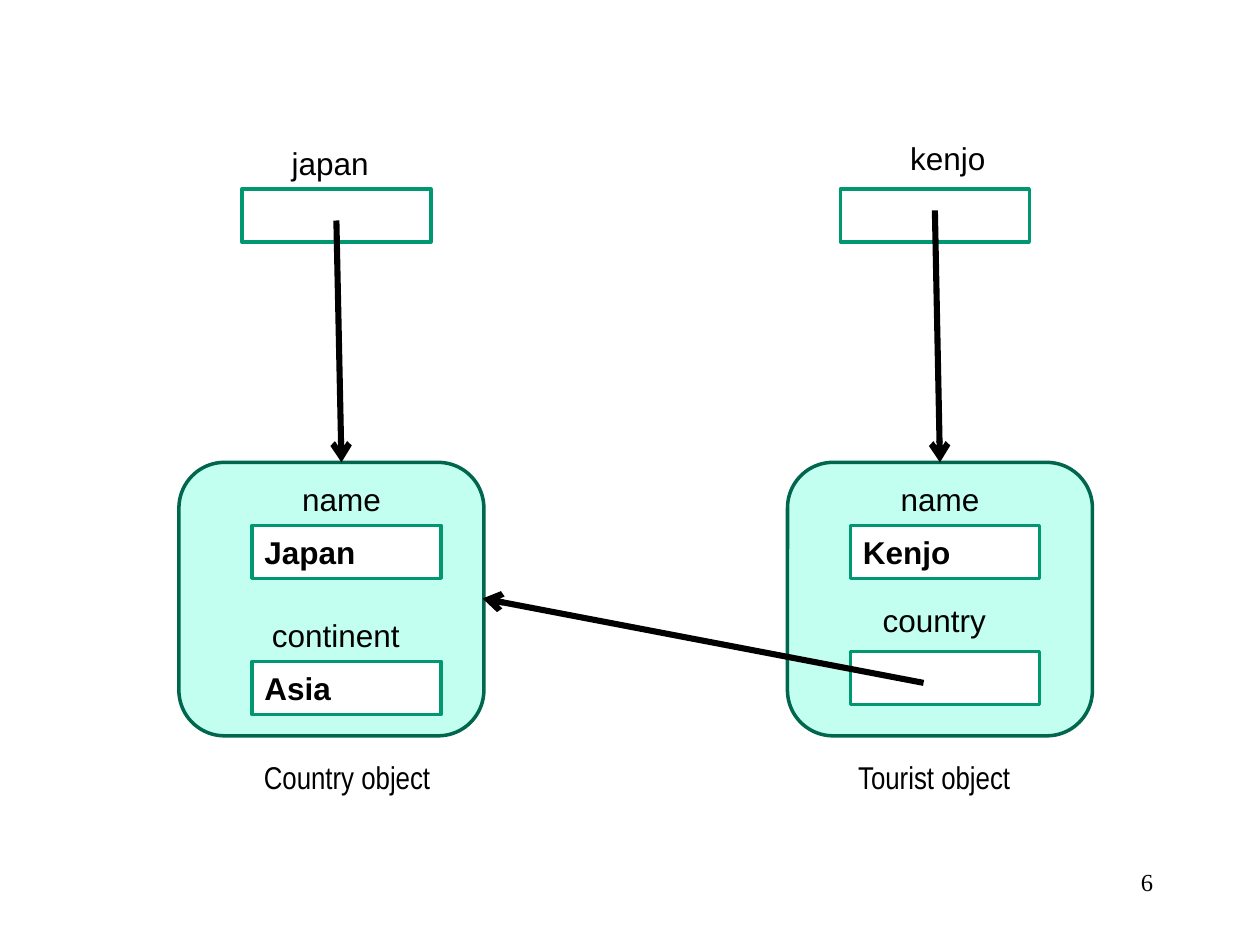
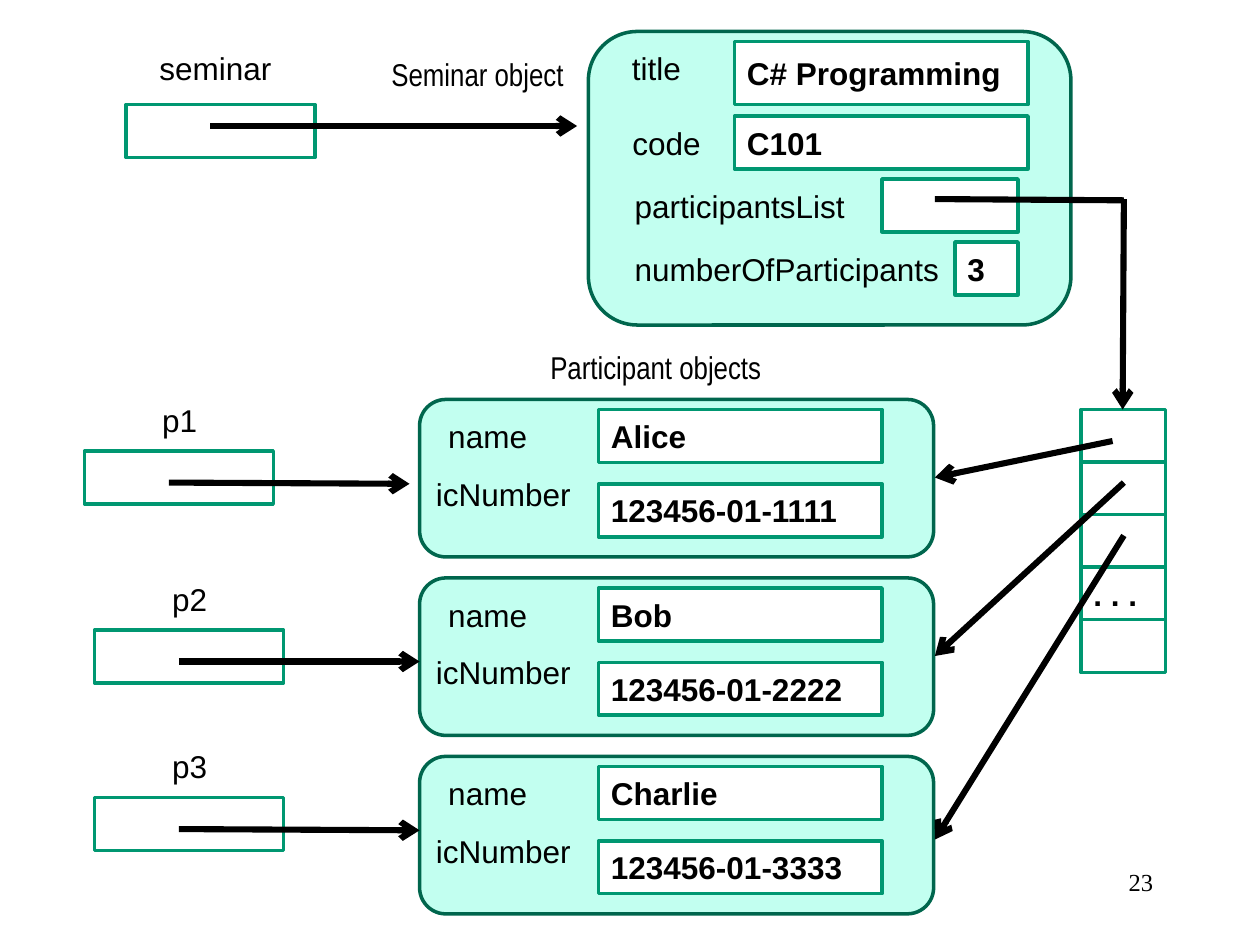
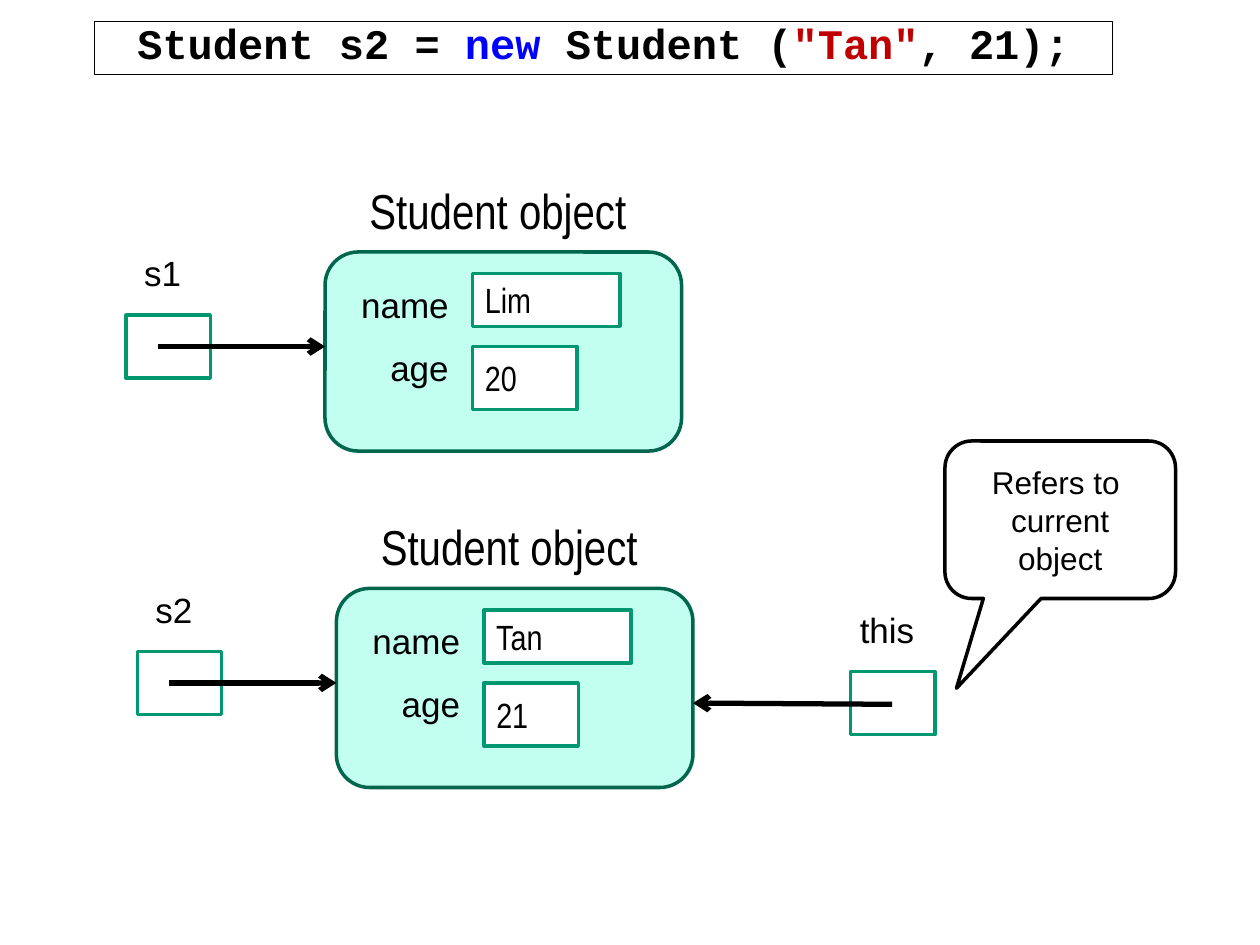
import pptx
import pptx.util
import pptx.dml.color
import pptx.enum.shapes
import pptx.enum.text
import pptx.oxml
import pptx.oxml.ns
from dataclasses import dataclass

Inches = pptx.util.Inches
Pt = pptx.util.Pt
SHAPE = pptx.enum.shapes.MSO_SHAPE
ALIGN = pptx.enum.text.PP_ALIGN
ANCHOR = pptx.enum.text.MSO_ANCHOR


@dataclass(frozen=True)
class Theme:
    ink: str = "000000"
    paper: str = "FFFFFF"
    card: str = "C2FFF0"
    card_edge: str = "00664D"
    slot_edge: str = "009771"
    keyword: str = "0000FF"
    literal: str = "C00000"
    sans: str = "Arial"
    narrow: str = "Arial Narrow"
    code: str = "Courier New"
    serif: str = "Times New Roman"
    number_size: int = 14
    body_size: int = 18
    student_size: int = 20
    code_size: int = 24
    heading_size: int = 28
    edge: float = 2
    arrow: float = 3.5
    student_arrow: float = 3


THEME = Theme()
LABEL = {"name": THEME.sans, "size": Pt(THEME.body_size)}
VALUE = {**LABEL, "bold": True}
CAPTION = {**LABEL, "name": THEME.narrow}
STUDENT_LABEL = {**LABEL, "size": Pt(THEME.student_size)}
STUDENT_VALUE = {**STUDENT_LABEL, "name": THEME.narrow}
STUDENT_CAPTION = {**CAPTION, "size": Pt(THEME.heading_size)}
CODE = {"name": THEME.code, "size": Pt(THEME.code_size), "bold": True}
NUMBER = {"name": THEME.serif, "size": Pt(THEME.number_size)}


def set_all(target, values):
    for key, value in values.items():
        setattr(target, key, value)


def rgb(colour):
    return pptx.dml.color.RGBColor.from_string(colour)


def inside(origin, box):
    """Shift a box or point given relative to the top left of origin."""
    return (origin[0] + box[0], origin[1] + box[1], *box[2:])


def write(shape, spans, font, align=ALIGN.LEFT, anchor=ANCHOR.MIDDLE):
    """Write (text, colour) spans as one paragraph."""
    set_all(shape.text_frame, {"word_wrap": True, "vertical_anchor": anchor})
    para = shape.text_frame.paragraphs[0]
    para.alignment = align
    for text, colour in spans:
        span = para.add_run()
        span.text = text
        set_all(span.font, font)
        span.font.color.rgb = rgb(colour)
    return para


def add_text(page, box, text, font, align=ALIGN.CENTER, anchor=ANCHOR.MIDDLE):
    shape = page.shapes.add_textbox(*map(Inches, box))
    write(shape, [(text, THEME.ink)], font, align, anchor)


def add_box(page, kind, box, fill, edge, weight=THEME.edge):
    shape = page.shapes.add_shape(kind, *map(Inches, box))
    shape.shadow.inherit = False
    shape.fill.solid()
    shape.fill.fore_color.rgb = rgb(fill)
    shape.line.color.rgb = rgb(edge)
    shape.line.width = Pt(weight)
    return shape


def add_slot(page, box, value="", font=VALUE):
    shape = add_box(page, SHAPE.RECTANGLE, box, THEME.paper, THEME.slot_edge)
    if value:
        write(shape, [(value, THEME.ink)], font)


def add_arrow(page, start, end, weight=THEME.arrow, head=True):
    line = page.shapes.add_connector(
        pptx.enum.shapes.MSO_CONNECTOR.STRAIGHT, *map(Inches, (*start, *end)))
    line.line.color.rgb = rgb(THEME.ink)
    line.line.width = Pt(weight)
    if head:
        tail = pptx.oxml.parse_xml(
            f'<a:tailEnd {pptx.oxml.ns.nsdecls("a")} type="arrow"/>')
        line.line._get_or_add_ln().append(tail)
    effects = pptx.oxml.parse_xml(f'<a:effectLst {pptx.oxml.ns.nsdecls("a")}/>')
    line._element.spPr.append(effects)


def add_variable(page, slot, name, label, start, end, font=LABEL,
                 weight=THEME.arrow, align=ALIGN.CENTER):
    """A named slot with an arrow; label and start are relative to the slot."""
    add_text(page, inside(slot, label), name, font, align)
    add_slot(page, slot)
    add_arrow(page, inside(slot, start), end, weight)


def add_object(page, box, fields, label_font=LABEL, value_font=VALUE,
               align=ALIGN.CENTER):
    """A card whose fields (label, its box, value, its box) are relative to it."""
    add_box(page, SHAPE.ROUNDED_RECTANGLE, box, THEME.card, THEME.card_edge)
    for label, label_box, value, value_box in fields:
        add_slot(page, inside(box, value_box), value, value_font)
        add_text(page, inside(box, label_box), label, label_font, align)


def add_page_number(page, number):
    add_text(page, (7.17, 6.83, 2.08, 0.5), number, NUMBER, ALIGN.RIGHT, ANCHOR.TOP)


def build_tourist_page(page):
    name_label, name_slot = (0.71, 0, 1.08, 0.58), (0.54, 0.5, 1.5, 0.42)
    cards = [
        (1.42, "Country object", 0.67,
         [("name", name_label, "Japan", name_slot),
          ("continent", (0.41, 1.16, 1.67, 0.42), "Asia", (0.58, 1.58, 1.5, 0.42))]),
        (6.25, "Tourist object", 5.33,
         [("name", name_label, "Kenjo", name_slot),
          ("country", (0.5, 1, 1.33, 0.5), "", (0.5, 1.5, 1.5, 0.42))]),
    ]
    # The two cards share one design, with the first slot set slightly apart.
    cards[0][3][0] = ("name", (0.75, 0, 1.08, 0.58), "Japan", (0.58, 0.5, 1.5, 0.42))
    cards[1][3][0] = ("name", (0.67, 0, 1.08, 0.58), "Kenjo", (0.5, 0.5, 1.5, 0.42))
    for left, caption, caption_left, fields in cards:
        add_object(page, (left, 3.67, 2.42, 2.17), fields)
        add_text(page, (caption_left, 5.83, 4.17, 0.67), caption, CAPTION)
    add_variable(page, (1.92, 1.5, 1.5, 0.42), "japan", (-0.34, -0.5, 2.08, 0.58),
                 (0.75, 0.25), (2.71, 3.67))
    add_variable(page, (6.67, 1.5, 1.5, 0.42), "kenjo", (0.08, -0.5, 1.17, 0.5),
                 (0.75, 0.17), (7.46, 3.67), align=ALIGN.RIGHT)
    add_arrow(page, (7.33, 5.42), (3.83, 4.75))
    add_page_number(page, "6")


def add_participant(page, top, name, number):
    add_object(page, (3.33, top, 4.08, 1.25), [
        ("name", (0, 0, 1.08, 0.58), name, (1.42, 0.08, 2.25, 0.42)),
        ("icNumber", (0, 0.5, 1.33, 0.5), number, (1.42, 0.67, 2.25, 0.42)),
    ])


def add_participants_list(page, left, top):
    for row, value in enumerate(["", "", "", ". . .", ""]):
        add_slot(page, (left, top + row * 5 / 12, 0.67, 0.42), value)


def build_seminar_page(page):
    add_object(page, (4.67, 0.25, 3.83, 2.33), [
        ("title", (0, 0, 1.08, 0.58), "C# Programming", (1.16, 0.08, 2.33, 0.5)),
        ("code", (0.08, 0.67, 1.08, 0.42), "C101", (1.16, 0.67, 2.33, 0.42)),
        ("participantsList", (0.16, 1.17, 2.08, 0.42), "", (2.33, 1.17, 1.08, 0.42)),
        ("numberOfParticipants", (0.16, 1.67, 2.83, 0.42), "3",
         (2.91, 1.67, 0.5, 0.42)),
    ])
    add_text(page, (2.75, 0.25, 2.08, 0.67), "Seminar object", CAPTION)
    add_text(page, (3.83, 2.58, 2.75, 0.67), "Participant objects", CAPTION)
    add_variable(page, (1, 0.83, 1.5, 0.42), "seminar", (-0.33, -0.58, 2.08, 0.58),
                 (0.67, 0.17), (4.58, 1))
    add_participants_list(page, 8.58, 3.25)
    add_arrow(page, (8.92, 1.58), (8.91, 3.25))
    add_arrow(page, (7.42, 1.58), (8.92, 1.59), head=False)

    participants = [
        ("p1", "Alice", "123456-01-1111", (0.67, 3.58), (3.25, 3.84), (8.83, 3.5)),
        ("p2", "Bob", "123456-01-2222", (0.75, 5), (3.33, 5.25), (8.92, 3.83)),
        ("p3", "Charlie", "123456-01-3333", (0.75, 6.33), (3.33, 6.59), (8.92, 4.25)),
    ]
    for row, (variable, name, number, slot, end, link) in enumerate(participants):
        top = 3.17 + row * 17 / 12
        add_participant(page, top, name, number)
        add_variable(page, (*slot, 1.5, 0.42), variable, (0.17, -0.5, 1.17, 0.5),
                     (0.67, 0.25), end)
        add_arrow(page, link, (7.42, top + 0.62 + 0.04 * (row == 2)))
    add_page_number(page, "23")


def add_student_variable(page, left, top, name, start, end):
    add_variable(page, (left, top, 0.67, 0.5), name, (-0.25, -0.67, 1.08, 0.67),
                 start, end, STUDENT_LABEL, THEME.student_arrow)


def add_student(page, left, top, variable, name, age, age_width):
    """A student card with its caption and the variable that refers to it."""
    box = (left, top, 2.83, 1.58)
    add_text(page, inside(box, (-0.17, -0.67, 3.08, 0.67)), "Student object",
             STUDENT_CAPTION)
    add_object(page, box, [
        ("name", (0, 0.08, 1.08, 0.67), name, (1.17, 0.17, 1.17, 0.42)),
        ("age", (0, 0.58, 1.08, 0.67), age, (1.17, 0.75, age_width, 0.5)),
    ], STUDENT_LABEL, STUDENT_VALUE, ALIGN.RIGHT)
    add_student_variable(page, left - 1.58, top + 0.5, variable, (0.25, 0.25),
                         (left, top + 0.75))


def add_code_line(page, box, spans):
    shape = add_box(page, SHAPE.RECTANGLE, box, THEME.paper, THEME.ink, 0.75)
    para = write(shape, spans, CODE, ALIGN.CENTER, ANCHOR.TOP)
    shape.text_frame.margin_top = Inches(0.02)
    set_all(para, {"line_spacing": 0.88, "space_before": Pt(7)})


def add_callout(page, box, lines):
    shape = add_box(page, SHAPE.ROUNDED_RECTANGULAR_CALLOUT, box, THEME.paper, THEME.ink)
    for index, value in enumerate((-0.45, 1.07, 0.17)):
        shape.adjustments[index] = value
    para = write(shape, [(lines[0], THEME.ink)], LABEL, ALIGN.CENTER)
    for line in lines[1:]:
        para.add_line_break()
        write(shape, [(line, THEME.ink)], LABEL, ALIGN.CENTER)


def build_student_page(page):
    add_code_line(page, (0.75, 0.17, 8.08, 0.42), [
        ("Student s2 = ", THEME.ink), ("new ", THEME.keyword),
        ("Student (", THEME.ink), ('"Tan"', THEME.literal), (", 21);", THEME.ink)])
    add_student(page, 2.58, 2, "s1", "Lim", "20", 0.83)
    add_student(page, 2.67, 4.67, "s2", "Tan", "21", 0.75)
    add_student_variable(page, 6.75, 5.33, "this", (0.33, 0.26), (5.5, 5.58))
    add_callout(page, (7.5, 3.5, 1.83, 1.25), ["Refers to ", "current object"])


def main():
    deck = pptx.Presentation()
    set_all(deck, {"slide_width": Inches(10), "slide_height": Inches(7.5)})
    blank = deck.slide_layouts[6]
    for build in (build_tourist_page, build_seminar_page, build_student_page):
        build(deck.slides.add_slide(blank))
    deck.save("out.pptx")


if __name__ == "__main__":
    main()
